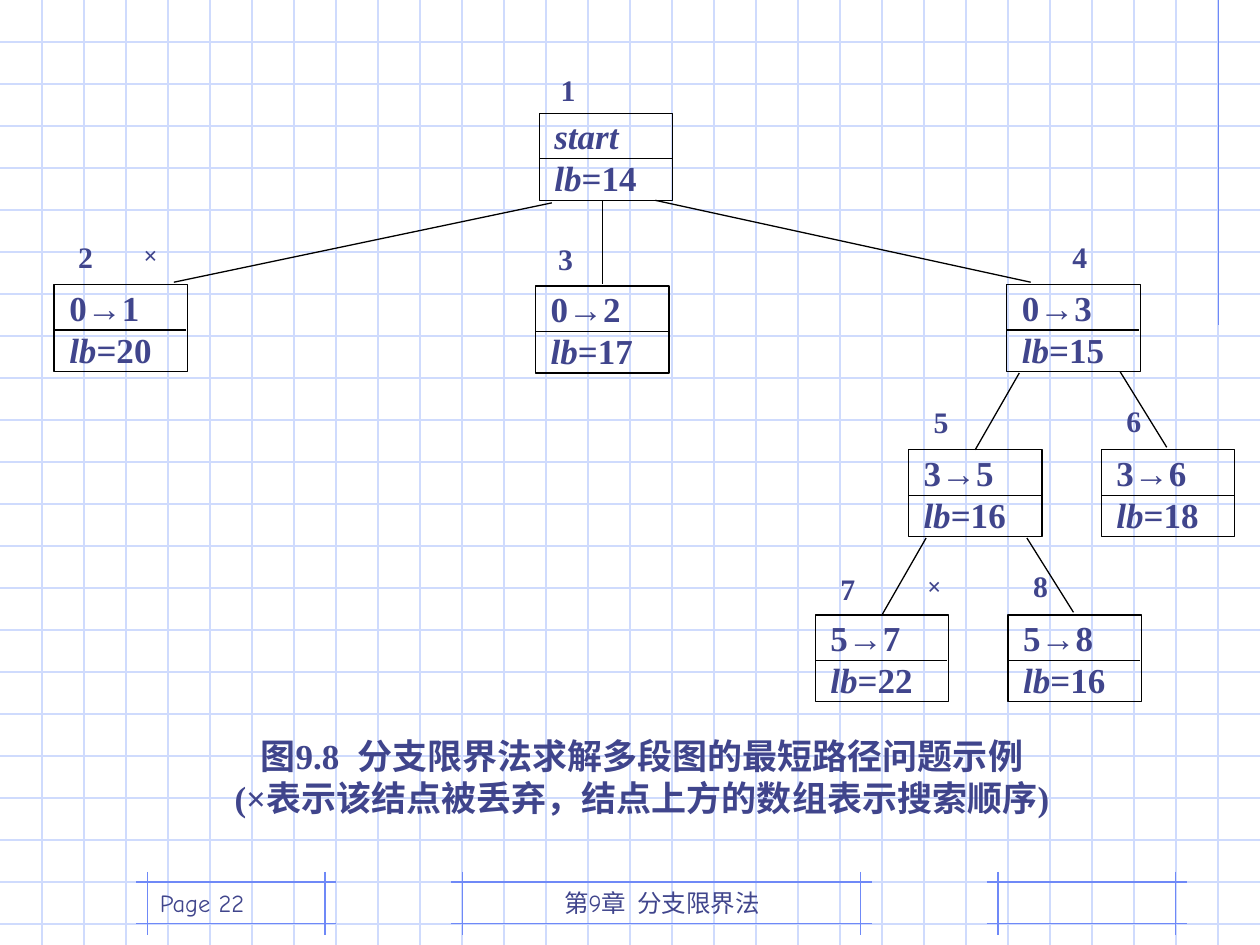
from lxml import etree
from pptx import Presentation
from pptx import util as u
from pptx.dml.color import RGBColor
from pptx.enum import shapes, text
from pptx.oxml.ns import qn

Inches = u.Inches
rgb = RGBColor.from_string
AL = text.PP_ALIGN


def add_line(x1, y1, x2, y2, color="000000"):
    c = s.shapes.add_connector(shapes.MSO_CONNECTOR.STRAIGHT,
                               Inches(x1), Inches(y1), Inches(x2), Inches(y2))
    c.line.color.rgb = rgb(color)
    c.line.width = u.Pt(0.75)
    etree.SubElement(c._element.spPr, qn("a:effectLst"))


def add_text(paras, x, y, w, h, size=20, font="Times New Roman", bold=True, align=AL.JUSTIFY,
             ins=(0.12, 0, 0, 0), anchor=text.MSO_ANCHOR.TOP, spacing=None, border=False):
    box = [Inches(v) for v in (x, y, w, h)]
    if border:
        sp = s.shapes.add_shape(shapes.MSO_SHAPE.RECTANGLE, *box)
        sp.shadow.inherit = False
        sp.fill.background()
        sp.line.color.rgb = rgb("000000")
        sp.line.width = u.Pt(0.75)
    else:
        sp = s.shapes.add_textbox(*box)
    tf = sp.text_frame
    tf.word_wrap = True
    tf.vertical_anchor = anchor
    tf.margin_left, tf.margin_top, tf.margin_right, tf.margin_bottom = [Inches(v) for v in ins]
    for i, runs in enumerate(paras):
        p = tf.add_paragraph() if i else tf.paragraphs[0]
        p.alignment = align
        if spacing:
            p.line_spacing = spacing
        for words, italic in runs:
            r = p.add_run()
            r.text = words
            r.font.size = u.Pt(size)
            r.font.name = font
            r.font.bold = bold
            r.font.italic = italic
            r.font.color.rgb = rgb("40458C")


prs = Presentation()
prs.slide_width, prs.slide_height = Inches(10), Inches(7.5)
s = prs.slides.add_slide(prs.slide_layouts[6])

for i in range(1, 23):
    add_line(0, i / 3, 10, i / 3, "CFDBFD")
for i in range(1, 30):
    add_line(i / 3, 0, i / 3, 7.5, "CFDBFD")

for left, right in [(3.67, 6.83), (7.92, 9.33), (1.17, 2.58)]:
    for y in (7, 7.33):
        add_line(left - 0.09, y, right + 0.09, y, "6F89F7")
    for x in (left, right):
        add_line(x, 6.92, x, 7.42, "6F89F7")
add_line(9.67, 0, 9.67, 2.58, "6F89F7")

for words, x, w, align in [("第9章  分支限界法", 3.67, 3.17, AL.CENTER),
                           ("Page 22", 1.17, 2.08, AL.LEFT)]:
    add_text([[(words, False)]], x, 6.83, w, 0.5, size=14, font="Comic Neue", bold=False,
             align=align, ins=(0.1, 0.05, 0.1, 0.05), anchor=text.MSO_ANCHOR.BOTTOM)

nodes = [
    ("1", "start", 14, 4.28, 0.9, 4.33, 0.6),
    ("2", "0→1", 20, 0.43, 2.26, 0.5, 1.93),
    ("3", "0→2", 17, 4.25, 2.27, 4.31, 1.94),
    ("4", "0→3", 15, 7.99, 2.26, 8.39, 1.93),
    ("5", "3→5", 16, 7.21, 3.57, 7.29, 3.24),
    ("6", "3→6", 18, 8.74, 3.57, 8.82, 3.23),
    ("7", "5→7", 22, 6.47, 4.88, 6.55, 4.56),
    ("8", "5→8", 16, 8, 4.88, 8.08, 4.54),
]
for order, step, bound, x, y, label_x, label_y in nodes:
    add_text([[(step, step == "start")], [("lb", True), (f"={bound}", False)]],
             x, y, 1.06, 0.69, ins=(0.12, 0.01, 0, 0), border=True)
    add_line(x, y + 0.36, x + 1.05, y + 0.36)
    add_text([[(order, False)]], label_x, label_y, 0.28, 0.29, size=17, spacing=0.9)

edges = [
    (4.38, 1.61, 1.38, 2.24), (4.78, 1.59, 4.78, 2.25), (5.2, 1.59, 8.18, 2.24),
    (8.09, 2.96, 7.74, 3.57), (8.89, 2.95, 9.26, 3.55),
    (7.35, 4.27, 7, 4.88), (8.15, 4.27, 8.52, 4.86),
]
for edge in edges:
    add_line(*edge)

for x, y in [(1.02, 1.95), (7.24, 4.58)]:
    add_text([[("×", False)]], x, y, 0.31, 0.27, size=14, spacing=0.8)

add_text([[("图9.8  分支限界法求解多段图的最短路径问题示例", False)],
          [("(×表示该结点被丢弃，结点上方的数组表示搜索顺序)", False)]],
         1, 5.83, 8.07, 0.75, align=AL.CENTER)

prs.save("out.pptx")
